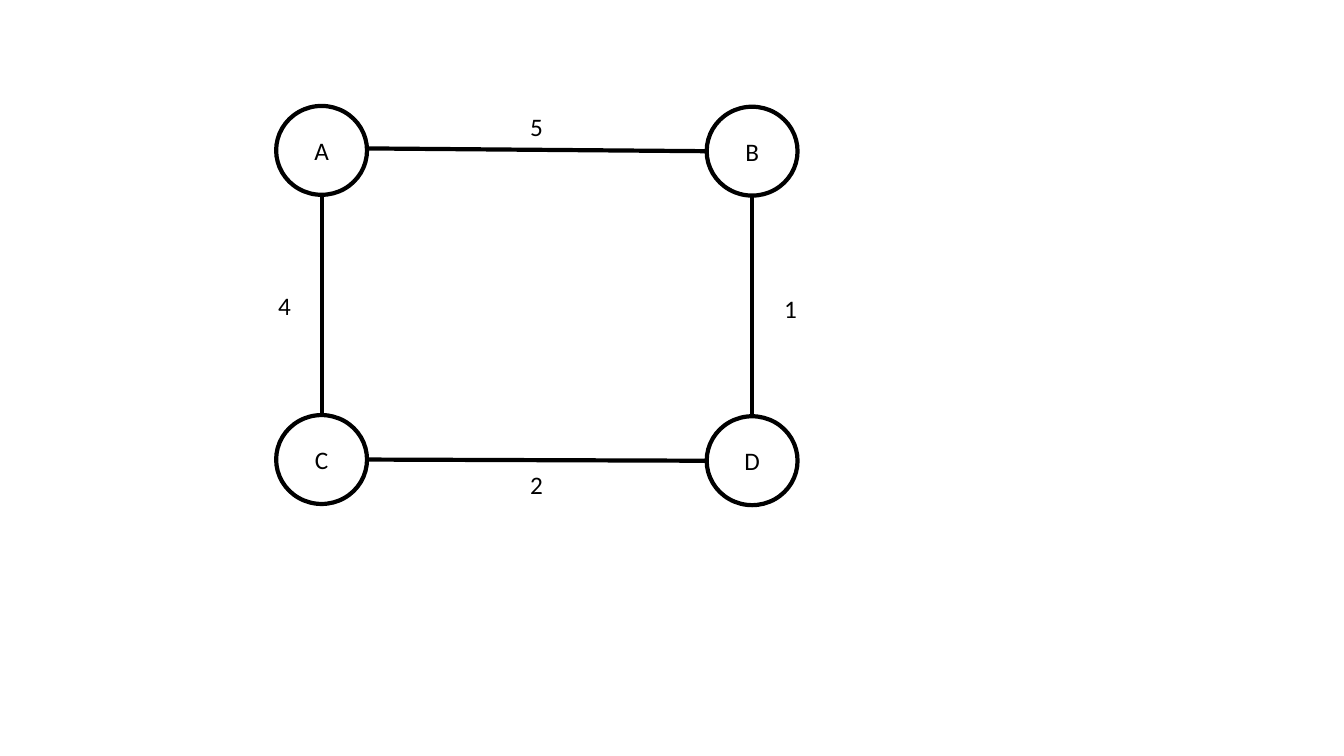
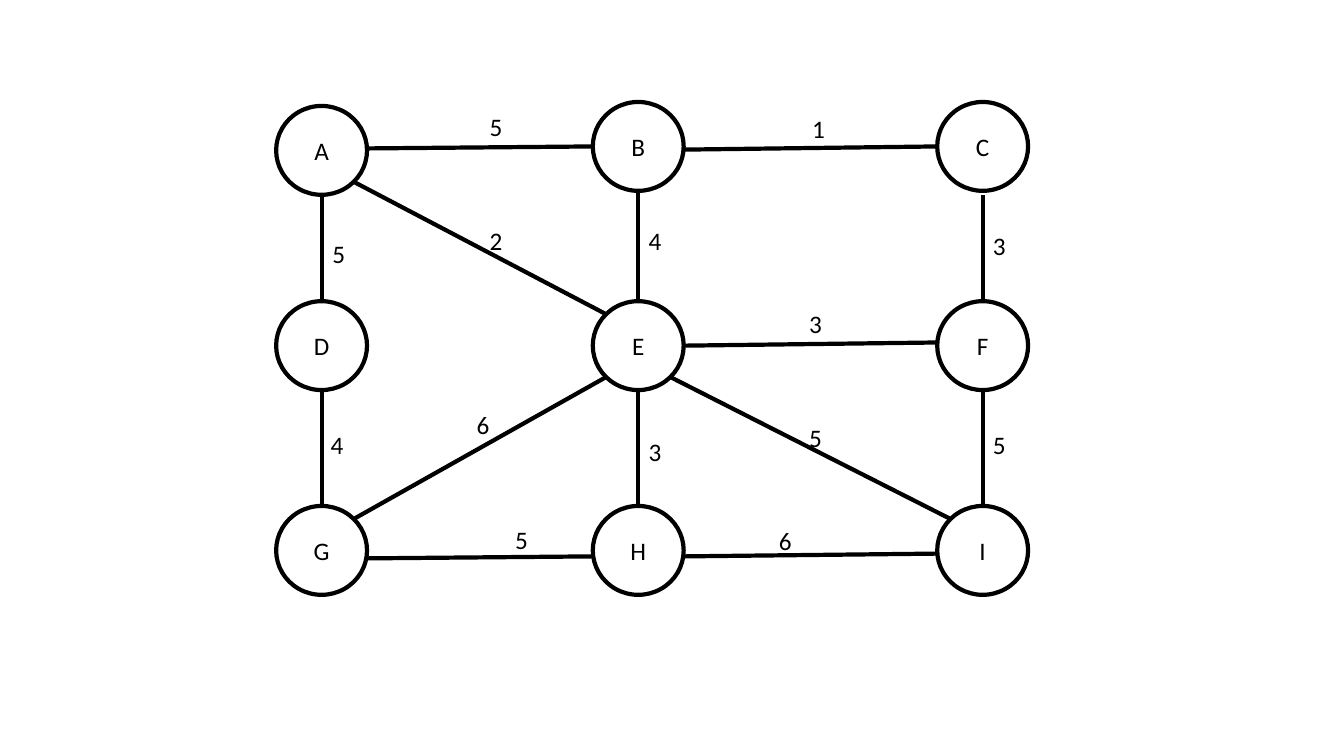
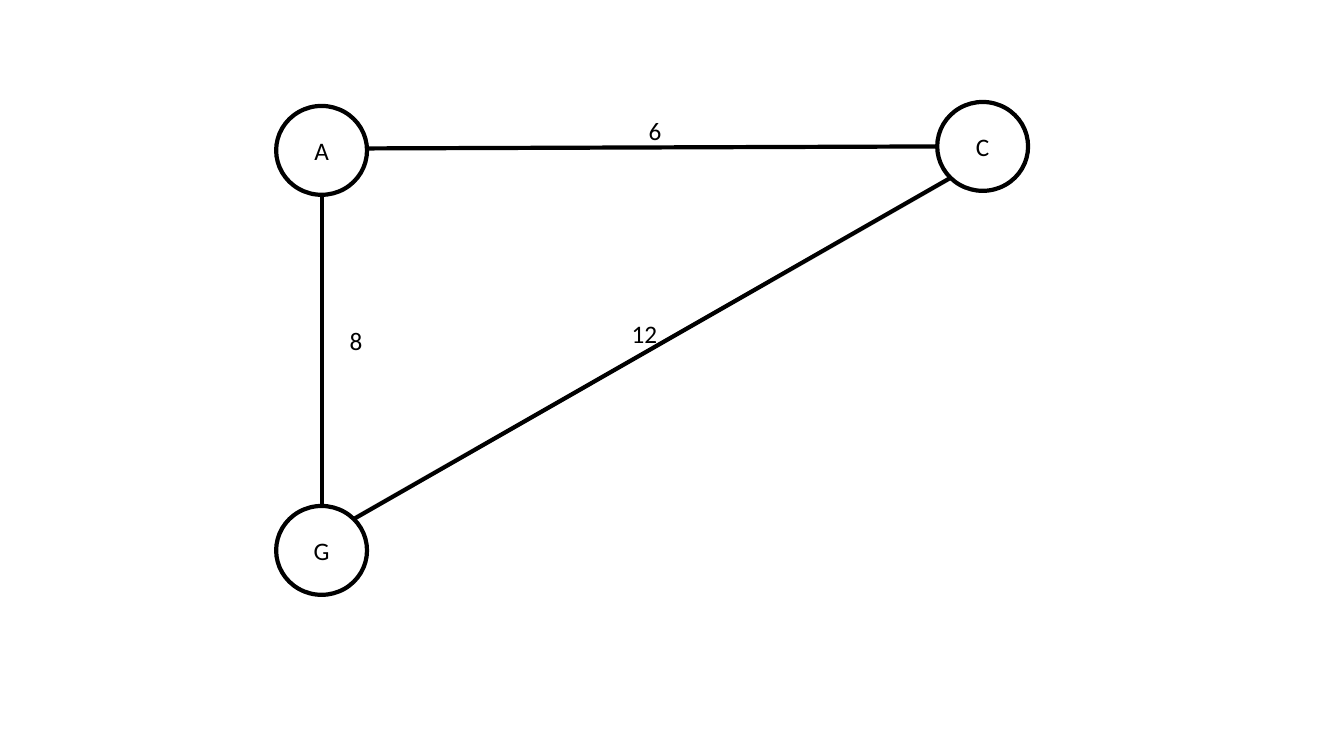
from dataclasses import dataclass
from math import sqrt
from typing import Any, NamedTuple

from lxml.etree import SubElement as Sub
from pptx import Presentation
from pptx.dml.color import RGBColor as RGB
from pptx.enum.shapes import MSO_CONNECTOR as Conn, MSO_SHAPE as Form
from pptx.enum.text import MSO_ANCHOR as Anchor, MSO_AUTO_SIZE as Auto, PP_ALIGN as Align
from pptx.oxml.ns import qn
from pptx.slide import Slide
from pptx.util import Cm, Pt


@dataclass(frozen=True)
class Theme:
    """Colours, type and sizes (in cm) that all graphs share."""
    ink: RGB = RGB(0, 0, 0)
    face: str = "Calibri"
    size: int = 18
    stroke: int = 3
    wide: float = 2.29
    high: float = 2.24


class Node(NamedTuple):
    """A named vertex with its left and top in cm."""
    name: str
    x: float
    y: float


class Edge(NamedTuple):
    """An edge between two vertices, its weight, the weight's place and end shifts."""
    ends: str
    cost: int
    x: float
    y: float
    drop: tuple[float, float] = (0, 0)


class Graph(NamedTuple):
    """The vertices and edges of one slide."""
    nodes: list[Node]
    edges: list[Edge]


LOOK = Theme()
NEAR = 1.0  # offsets below this count as the same row or column
LEFT, MID, RIGHT = 6.96, 14.94, 23.62
TOP, MEAN, LOW = 2.57, 7.59, 12.75

A = Node("A", LEFT, 2.67)
C = Node("C", RIGHT, TOP)
G = Node("G", LEFT, LOW)

GRAPHS = [
    Graph(
        [A, Node("B", 17.81, 2.69), Node("C", LEFT, 10.46), Node("D", 17.81, 10.49)],
        [Edge("AC", 4, 6.76, 7.19), Edge("BD", 1, 19.51, 7.26),
         Edge("DC", 2, 13.11, 11.71), Edge("BA", 5, 13.11, 2.67, (0, -0.05))],
    ),
    Graph(
        [A, Node("B", MID, TOP), Node("D", LEFT, MEAN), Node("E", MID, MEAN), C,
         Node("F", RIGHT, MEAN), G, Node("H", MID, LOW), Node("I", RIGHT, LOW)],
        [Edge("BA", 5, 12.09, 2.69, (0, -0.05)),
         Edge("CB", 1, 20.22, 2.72, (0, 0.08)),
         Edge("FE", 3, 20.14, 7.65, (-0.08, 0)),
         Edge("IH", 6, 19.38, 13.11, (0.08, 0.15)),
         Edge("HG", 5, 12.73, 13.08, (0.15, 0.2)),
         Edge("GD", 4, 8.08, 10.69),
         Edge("DA", 5, 8.13, 5.87),
         Edge("EB", 4, 16.1, 5.56, (-0.05, 0.05)),
         Edge("FC", 3, 24.77, 5.69, (0, 0.1)),
         Edge("HE", 3, 16.1, 10.87),
         Edge("IF", 5, 24.77, 10.69),
         Edge("IE", 5, 20.14, 10.52),
         Edge("GE", 6, 11.76, 10.19),
         Edge("AE", 2, 12.09, 5.56)],
    ),
    Graph(
        [A, C, G],
        [Edge("CA", 6, 16.1, 2.77, (0, -0.05)), Edge("GA", 8, 8.56, 8.08),
         Edge("GC", 12, 15.67, 7.9)],
    ),
]


def assign(item: Any, form: dict[str, Any]) -> None:
    """Set each named attribute of an object."""
    for key, val in form.items():
        setattr(item, key, val)


def write(shape: Any, text: str, frame: dict[str, Any], align: Align) -> None:
    """Put one line of themed text in a shape."""
    assign(shape.text_frame, frame)
    para = shape.text_frame.paragraphs[0]
    para.alignment = align
    run = para.add_run()
    run.text = text
    assign(run.font, {"name": LOOK.face, "size": Pt(LOOK.size)})
    run.font.color.rgb = LOOK.ink


def outline(shape: Any) -> None:
    """Give a shape or connector the themed stroke."""
    shape.line.width = Pt(LOOK.stroke)
    shape.line.color.rgb = LOOK.ink


def sign(gap: float) -> int:
    """Return the direction of a gap, or zero when it is small."""
    return 0 if abs(gap) < NEAR else (1 if gap > 0 else -1)


def port(node: Node, goal: Node) -> tuple[float, float]:
    """Find the point on a node's rim that faces another node."""
    dx, dy = sign(goal.x - node.x), sign(goal.y - node.y)
    part = sqrt(0.5) if dx and dy else 1
    return (node.x + LOOK.wide / 2 * (1 + dx * part),
            node.y + LOOK.high / 2 * (1 + dy * part))


def circle(slide: Slide, node: Node) -> None:
    """Draw one vertex."""
    shape = slide.shapes.add_shape(
        Form.OVAL, Cm(node.x), Cm(node.y), Cm(LOOK.wide), Cm(LOOK.high))
    shape.shadow.inherit = False
    shape.fill.background()
    outline(shape)
    write(shape, node.name, {"vertical_anchor": Anchor.MIDDLE}, Align.CENTER)


def link(slide: Slide, edge: Edge, nodes: dict[str, Node]) -> None:
    """Draw the line of one edge."""
    head, tail = (nodes[name] for name in edge.ends)
    (x1, y1), (x2, y2) = port(head, tail), port(tail, head)
    line = slide.shapes.add_connector(
        Conn.STRAIGHT, Cm(x1), Cm(y1 + edge.drop[0]), Cm(x2), Cm(y2 + edge.drop[1]))
    outline(line)
    Sub(line._element.spPr, qn("a:effectLst"))


def label(slide: Slide, edge: Edge) -> None:
    """Write the weight of one edge."""
    text = str(edge.cost)
    box = slide.shapes.add_textbox(
        Cm(edge.x), Cm(edge.y), Cm(0.5 + 0.33 * len(text)), Cm(1.02))
    write(box, text, {"word_wrap": False, "auto_size": Auto.SHAPE_TO_FIT_TEXT}, Align.LEFT)


def draw(slide: Slide, graph: Graph) -> None:
    """Draw a whole graph: vertices, lines, then weights."""
    nodes = {node.name: node for node in graph.nodes}
    for node in graph.nodes:
        circle(slide, node)
    for edge in graph.edges:
        link(slide, edge, nodes)
    for edge in graph.edges:
        label(slide, edge)


def main() -> None:
    """Build and save the deck."""
    deck = Presentation()
    assign(deck, {"slide_width": Cm(33.87), "slide_height": Cm(19.05)})
    for graph in GRAPHS:
        draw(deck.slides.add_slide(deck.slide_layouts[6]), graph)
    deck.save("out.pptx")


main()
